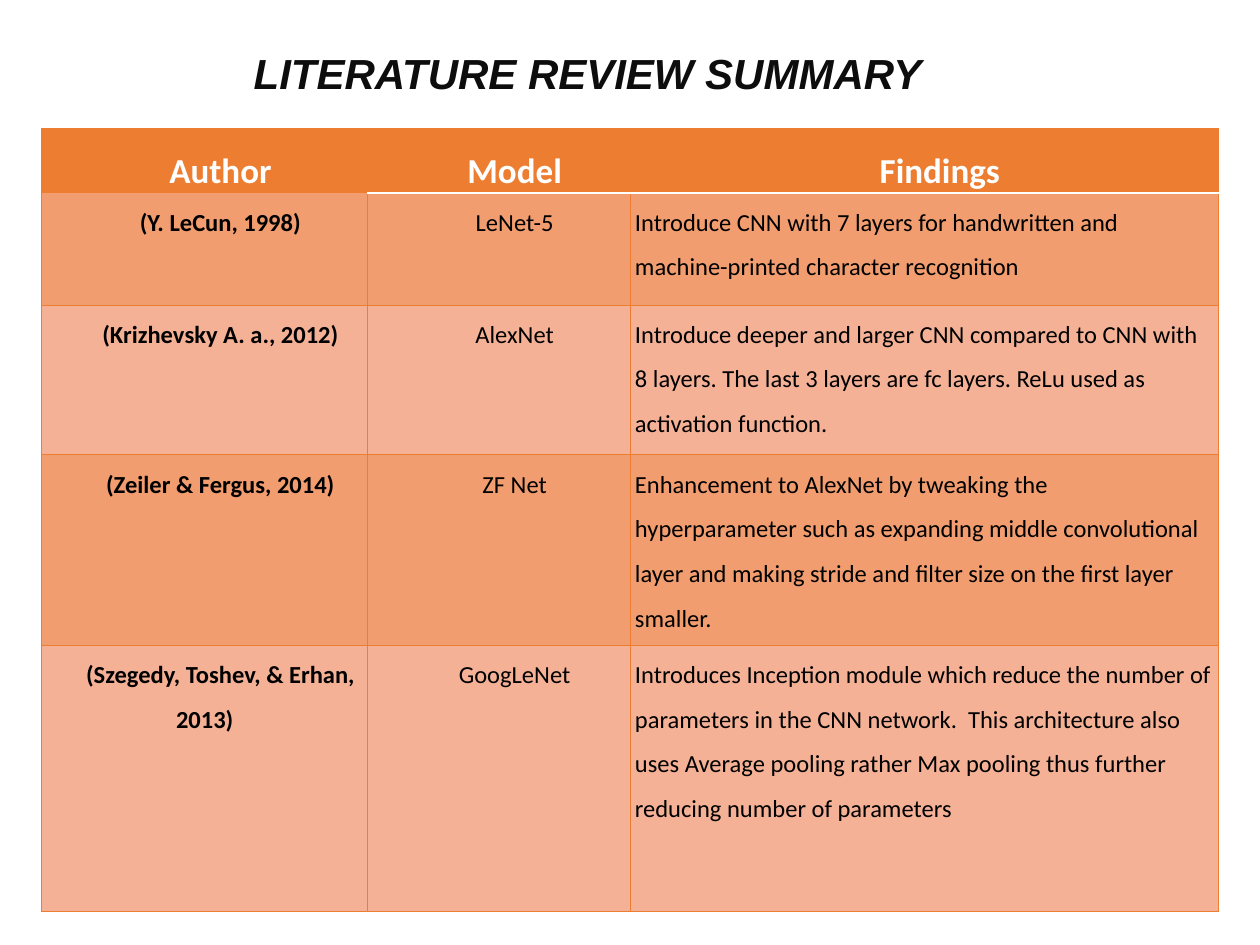
from lxml.etree import SubElement
from pptx import Presentation
from pptx.dml.color import RGBColor
from pptx.enum.text import MSO_ANCHOR, PP_ALIGN
from pptx.oxml.ns import qn
from pptx.util import Inches, Pt

ORANGE, WHITE, BLACK = "ED7D31", "FFFFFF", "000000"
DARK_BAND, LIGHT_BAND = "F19D6F", "F4B196"
COLUMN_WIDTHS = [2.59, 2.08, 4.67]
ROW_HEIGHTS = [0.5, 0.89, 1.19, 1.51, 2.11]
ROWS = [
    ("Author", "Model", "Findings"),
    ("(Y. LeCun, 1998)", "LeNet-5",
     "Introduce CNN with 7 layers for handwritten and machine-printed "
     "character recognition"),
    ("(Krizhevsky A. a., 2012)", "AlexNet",
     "Introduce deeper and larger CNN compared to CNN with 8 layers. "
     "The last 3 layers are fc layers. ReLu used as activation function."),
    ("(Zeiler & Fergus, 2014)", "ZF Net",
     "Enhancement to AlexNet by tweaking the hyperparameter such as "
     "expanding middle convolutional layer and making stride and filter "
     "size on the first layer smaller."),
    ("(Szegedy, Toshev, & Erhan, 2013)", "GoogLeNet",
     "Introduces Inception module which reduce the number of parameters "
     "in the CNN network.  This architecture also uses Average pooling "
     "rather Max pooling thus further reducing number of parameters"),
]


def rgb(value):
    return RGBColor.from_string(value)


def set_font(paragraph, name, size, color, bold=False, italic=False):
    font = paragraph.font
    font.name, font.size = name, Pt(size)
    font.bold, font.italic = bold, italic
    font.color.rgb = rgb(color)


def add_title(slide, text):
    title = slide.shapes.title
    title.left, title.top = Inches(0.61), Inches(0.33)
    title.width, title.height = Inches(8.11), Inches(0.5)
    frame = title.text_frame
    frame.text = text
    frame.vertical_anchor = MSO_ANCHOR.TOP
    paragraph = frame.paragraphs[0]
    paragraph.alignment = PP_ALIGN.CENTER
    set_font(paragraph, "Arial", 24, "0D0D0D", bold=True, italic=True)


def add_border(cell, side, color, width):
    """Draw one side (L, R, T or B) of a cell; call before setting its fill."""
    properties = cell._tc.get_or_add_tcPr()
    line = SubElement(properties, qn(f"a:ln{side}"), w=str(Pt(width)))
    fill = SubElement(line, qn("a:solidFill"))
    SubElement(fill, qn("a:srgbClr"), val=color)


def format_cell(cell, row, column, text):
    header = row == 0
    for side in "LRTB":
        under_header = (row, side) in ((0, "B"), (1, "T")) and column > 0
        add_border(cell, side, *((WHITE, 1) if under_header else (ORANGE, 0.5)))
    cell.fill.solid()
    band = DARK_BAND if row % 2 else LIGHT_BAND
    cell.fill.fore_color.rgb = rgb(ORANGE if header else band)
    cell.margin_left = cell.margin_right = Inches(0.04)
    cell.margin_top = cell.margin_bottom = 0
    cell.text = text
    paragraph = cell.text_frame.paragraphs[0]
    paragraph.line_spacing = 1.5
    if header or column < 2:
        paragraph.alignment = PP_ALIGN.CENTER
        properties = paragraph._p.get_or_add_pPr()
        properties.set("marL", "0")
        properties.set("indent", str(Inches(0.25)))
    set_font(paragraph, "Calibri", 20 if header else 14,
             WHITE if header else BLACK, bold=header or column == 0)


def add_review_table(slide):
    table = slide.shapes.add_table(
        len(ROWS), len(COLUMN_WIDTHS), Inches(0.33), Inches(1.02),
        Inches(sum(COLUMN_WIDTHS)), Inches(sum(ROW_HEIGHTS))).table
    for column, width in zip(table.columns, COLUMN_WIDTHS):
        column.width = Inches(width)
    for row, height in zip(table.rows, ROW_HEIGHTS):
        row.height = Inches(height)
    for row, texts in enumerate(ROWS):
        for column, text in enumerate(texts):
            format_cell(table.cell(row, column), row, column, text)


def main():
    presentation = Presentation()
    presentation.slide_width, presentation.slide_height = Inches(10), Inches(7.5)
    slide = presentation.slides.add_slide(presentation.slide_layouts[5])
    add_title(slide, "LITERATURE REVIEW SUMMARY")
    add_review_table(slide)
    presentation.save("out.pptx")


if __name__ == "__main__":
    main()
